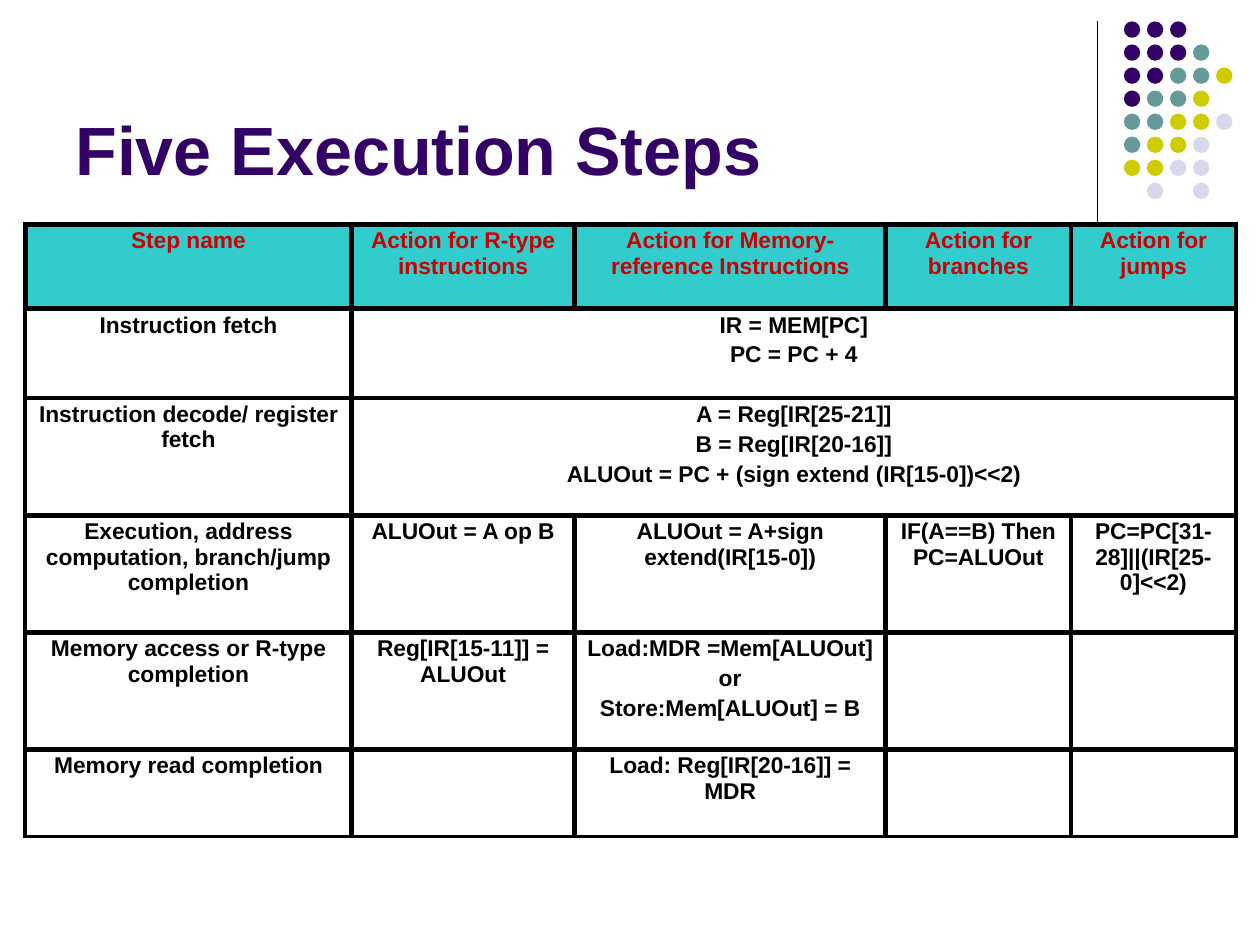
from lxml.etree import SubElement
from pptx import Presentation
from pptx.dml.color import RGBColor
from pptx.enum.shapes import MSO_CONNECTOR, MSO_SHAPE
from pptx.enum.text import MSO_ANCHOR, PP_ALIGN
from pptx.oxml import parse_xml
from pptx.oxml.ns import nsdecls, qn
from pptx.util import Inches, Pt

COLORS = {
    "purple": "330066", "teal": "669999", "olive": "CCCC00", "mist": "D8D8EC",
    "header": "33CCCC", "red": "CC0000", "black": "000000",
}
DOT_COLORS = {"P": "purple", "T": "teal", "O": "olive", "M": "mist"}
DOT_ROWS = ["PPP", "PPPT", "PPTTO", "PTTO", "TTOOM", "TOOM", "OOMM", ".M.M"]

COLUMN_WIDTHS = [2.59, 1.77, 2.47, 1.47, 1.31]
ROW_HEIGHTS = [0.67, 0.71, 0.93, 0.93, 0.93, 0.69]
STEPS = [
    ["Step name", "Action for R-type instructions",
     "Action for Memory-reference Instructions",
     "Action for branches", "Action for jumps"],
    ["Instruction fetch", "IR = MEM[PC]\nPC = PC + 4"],
    ["Instruction decode/ register fetch",
     "A = Reg[IR[25-21]]\nB = Reg[IR[20-16]]\n"
     "ALUOut = PC + (sign extend (IR[15-0])<<2)"],
    ["Execution, address computation, branch/jump completion",
     "ALUOut = A op B", "ALUOut = A+sign extend(IR[15-0])",
     "IF(A==B) Then PC=ALUOut", "PC=PC[31-28]||(IR[25-0]<<2)"],
    ["Memory access or R-type completion", "Reg[IR[15-11]] = ALUOut",
     "Load:MDR =Mem[ALUOut]\nor\nStore:Mem[ALUOut] = B", "", ""],
    ["Memory read completion", "", "Load: Reg[IR[20-16]] = MDR", "", ""],
]


class SlideBuilder:
    """Holds the style and the current slide, and draws each kind of element."""

    font = "Arial"
    body_size = 13
    thick, thin = 3, 2.25

    def __init__(self, slide):
        self.slide = slide

    def color(self, name):
        return RGBColor.from_string(COLORS[name])

    def style(self, paragraph, size, color):
        font = paragraph.font
        for target in [font] + [run.font for run in paragraph.runs]:
            target.name, target.size, target.bold = self.font, Pt(size), True
            target.color.rgb = self.color(color)

    def title(self, text, left, top, width, height):
        box = self.slide.shapes.add_textbox(
            Inches(left), Inches(top), Inches(width), Inches(height))
        frame = box.text_frame
        frame.word_wrap = True
        frame.vertical_anchor = MSO_ANCHOR.BOTTOM
        frame.text = text
        self.style(frame.paragraphs[0], 39, "purple")

    def rule(self, x, top, bottom):
        rule = self.slide.shapes.add_connector(
            MSO_CONNECTOR.STRAIGHT, Inches(x), Inches(top), Inches(x), Inches(bottom))
        rule.line.color.rgb = self.color("black")
        rule.line.width = Pt(0.75)
        SubElement(rule._element.spPr, qn("a:effectLst"))

    def dots(self, left, top, pitch, size):
        group = self.slide.shapes.add_group_shape()
        for row, codes in enumerate(DOT_ROWS):
            for column, code in enumerate(codes):
                if code not in DOT_COLORS:
                    continue
                dot = group.shapes.add_shape(
                    MSO_SHAPE.OVAL, Inches(left + column * pitch),
                    Inches(top + row * pitch), Inches(size), Inches(size))
                dot.shadow.inherit = False
                dot.fill.solid()
                dot.fill.fore_color.rgb = self.color(DOT_COLORS[code])
                dot.line.fill.background()

    def borders(self, cell, widths):
        properties = cell._tc.get_or_add_tcPr()
        for index, (side, width) in enumerate(zip("LRTB", widths)):
            properties.insert(index, parse_xml(
                f'<a:ln{side} {nsdecls("a")} w="{Pt(width)}"><a:solidFill>'
                f'<a:srgbClr val="{COLORS["black"]}"/></a:solidFill></a:ln{side}>'))

    def cell(self, cell, text, color):
        cell.margin_left = cell.margin_right = Inches(0.07)
        cell.margin_top = cell.margin_bottom = Inches(0.03)
        cell.text_frame.text = text
        for index, paragraph in enumerate(cell.text_frame.paragraphs):
            paragraph.alignment = PP_ALIGN.CENTER
            if index:
                paragraph.space_before = Pt(0.2 * self.body_size)
            self.style(paragraph, self.body_size, color)

    def table(self, left, top):
        last_row, last_column = len(ROW_HEIGHTS) - 1, len(COLUMN_WIDTHS) - 1
        table = self.slide.shapes.add_table(
            last_row + 1, last_column + 1, Inches(left), Inches(top),
            Inches(sum(COLUMN_WIDTHS)), Inches(sum(ROW_HEIGHTS))).table
        table.first_row = table.horz_banding = False
        for column, width in zip(table.columns, COLUMN_WIDTHS):
            column.width = Inches(width)
        for row, height in zip(table.rows, ROW_HEIGHTS):
            row.height = Inches(height)
        for r, texts in enumerate(STEPS):
            if len(texts) == 2:
                table.cell(r, 1).merge(table.cell(r, last_column))
            for c, text in enumerate(texts):
                self.cell(table.cell(r, c), text, "black" if r else "red")
            for c in range(last_column + 1):
                cell = table.cell(r, c)
                if r:
                    cell.fill.background()
                else:
                    cell.fill.solid()
                    cell.fill.fore_color.rgb = self.color("header")
                outer = [r and c == 0, r and c == last_column, False, r == last_row]
                self.borders(cell, [self.thin if edge else self.thick for edge in outer])


def main():
    deck = Presentation()
    deck.slide_width, deck.slide_height = Inches(10), Inches(7.5)
    builder = SlideBuilder(deck.slides.add_slide(deck.slide_layouts[6]))
    builder.rule(8.71, 0.17, 1.83)
    builder.dots(8.92, 0.17, 1.28 / 7, 0.13)
    builder.title("Five Execution Steps", 0.5, 0.13, 8.25, 1.42)
    builder.table(0.2, 1.78)
    deck.save("out.pptx")


if __name__ == "__main__":
    main()
